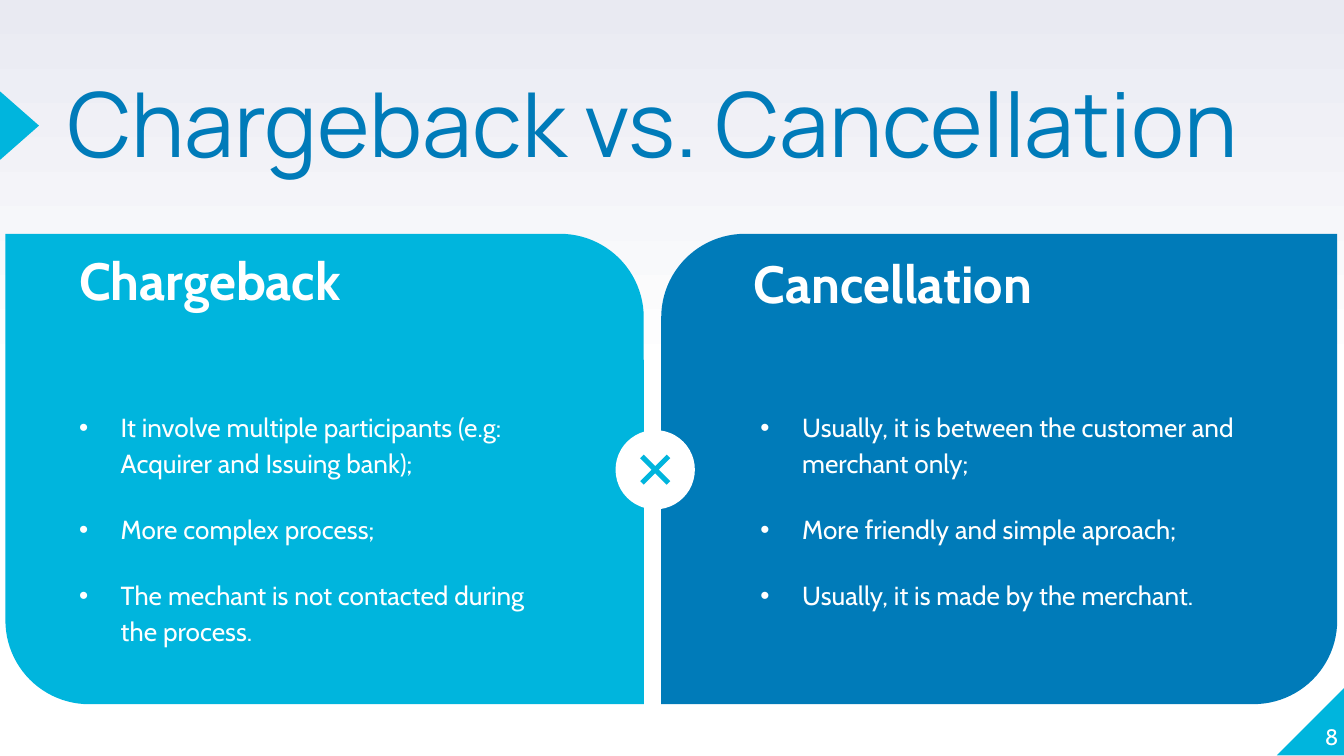
import pptx
import pptx.util
import pptx.dml.color
import pptx.enum.shapes
import pptx.enum.text
import pptx.oxml
import pptx.oxml.ns

Inches = pptx.util.Inches
SHAPES = pptx.enum.shapes.MSO_SHAPE
ALIGN = pptx.enum.text.PP_ALIGN
ANCHOR = pptx.enum.text.MSO_ANCHOR

WHITE = "FFFFFF"
CYAN = "00B5DD"
BLUE = "007BB9"
LAVENDER = "E9EAF2"


def color(value):
    return pptx.dml.color.RGBColor.from_string(value)


def add_bullet(para, indent):
    properties = para._p.get_or_add_pPr()
    properties.set("marL", str(Inches(indent)))
    properties.set("indent", str(-Inches(indent)))
    namespace = pptx.oxml.ns.nsdecls("a")
    for xml in (
        f'<a:buClr {namespace}><a:srgbClr val="{WHITE}"/></a:buClr>',
        f'<a:buFont {namespace} typeface="Arial"/>',
        f'<a:buChar {namespace} char="•"/>',
    ):
        properties.append(pptx.oxml.parse_xml(xml))


def add_text(page, bounds, texts, size, font="Cabin", fill=WHITE, bold=False,
             inset=0.1, align=ALIGN.LEFT, anchor=ANCHOR.TOP,
             line_spacing=1, space_after=0, indent=0):
    box = page.shapes.add_textbox(*map(Inches, bounds))
    frame = box.text_frame
    frame.word_wrap = True
    frame.vertical_anchor = anchor
    frame.margin_left = frame.margin_right = Inches(inset)
    frame.margin_top = frame.margin_bottom = Inches(inset)
    for index, text in enumerate(texts):
        para = frame.add_paragraph() if index else frame.paragraphs[0]
        para.alignment = align
        para.line_spacing = line_spacing
        para.space_after = pptx.util.Pt(space_after)
        if indent:
            add_bullet(para, indent)
        span = para.add_run()
        span.text = text
        span.font.name = font
        span.font.size = pptx.util.Pt(size)
        span.font.bold = bold
        span.font.color.rgb = color(fill)


def add_filled(page, kind, bounds, fill, rotation=0, adjustments=()):
    shape = page.shapes.add_shape(kind, *map(Inches, bounds))
    shape.shadow.inherit = False
    shape.fill.solid()
    shape.fill.fore_color.rgb = color(fill)
    shape.line.fill.background()
    shape.rotation = rotation
    for index, value in enumerate(adjustments):
        shape.adjustments[index] = value


def paint_background(page):
    fill = page.background.fill
    fill.gradient()
    fill.gradient_angle = 90
    for stop, position, value in zip(fill.gradient_stops, (0.5, 1), (WHITE, LAVENDER)):
        stop.position = position
        stop.color.rgb = color(value)


def add_header(page, left, top, width, height):
    add_filled(page, SHAPES.ISOSCELES_TRIANGLE,
               (left - 0.61, top + 0.13, 0.51, 0.29), CYAN, rotation=90)
    add_text(page, (left, top, width, height), ["Chargeback vs. Cancellation"], 48,
             font="Manrope", fill=BLUE, inset=0, line_spacing=0.8)


def add_page_number(page, left, top, size, number):
    add_filled(page, SHAPES.RIGHT_TRIANGLE, (left, top, size, size), CYAN, rotation=270)
    add_text(page, (left - 0.04, top - 0.04, 0.5, size), [number], 12,
             inset=0, align=ALIGN.RIGHT, anchor=ANCHOR.BOTTOM)


def add_panel(page, left, top, width, height, fill, corners,
              heading, heading_offset, points, points_left, text_width):
    add_filled(page, SHAPES.ROUND_2_DIAG_RECTANGLE, (left, top, width, height),
               fill, adjustments=corners)
    heading_left, heading_top = heading_offset
    add_text(page, (left + heading_left, top + heading_top, text_width, 0.58),
             [heading], 28, bold=True)
    add_text(page, (left + points_left, top + 1.19, text_width, 2.17), points, 14,
             line_spacing=1.15, space_after=16, indent=0.31)


def add_cross_badge(page, left, top, size):
    cross = 0.38
    margin = (size - cross) / 2
    add_filled(page, SHAPES.OVAL, (left, top, size, size), WHITE)
    add_filled(page, SHAPES.MATH_PLUS, (left + margin, top + margin, cross, cross),
               CYAN, rotation=45, adjustments=(0.099,))


def main():
    deck = pptx.Presentation()
    deck.slide_width = Inches(10)
    deck.slide_height = deck.slide_width * 9 // 16
    page = deck.slides.add_slide(deck.slide_layouts[6])
    paint_background(page)
    add_header(page, 0.5, 0.66, 8.74, 1.18)
    add_page_number(page, 9.5, 5.11, 0.51, "8")
    add_panel(page, 4.92, 1.74, 5.03, 3.5, BLUE, (0.178, 0),
              "Cancellation", (0.59, 0.03),
              ["Usually, it is between the customer and merchant only;",
               "More friendly and simple aproach;",
               "Usually, it is made by the merchant."], 0.64, 3.95)
    add_panel(page, 0.04, 1.74, 4.75, 3.5, CYAN, (0, 0.178),
              "Chargeback", (0.45, 0.01),
              ["It involve multiple participants (e.g: Acquirer and Issuing bank);",
               "More complex process;",
               "The mechant is not contacted during the process."], 0.45, 3.72)
    add_cross_badge(page, 4.58, 3.2, 0.59)
    deck.save("out.pptx")


if __name__ == "__main__":
    main()
